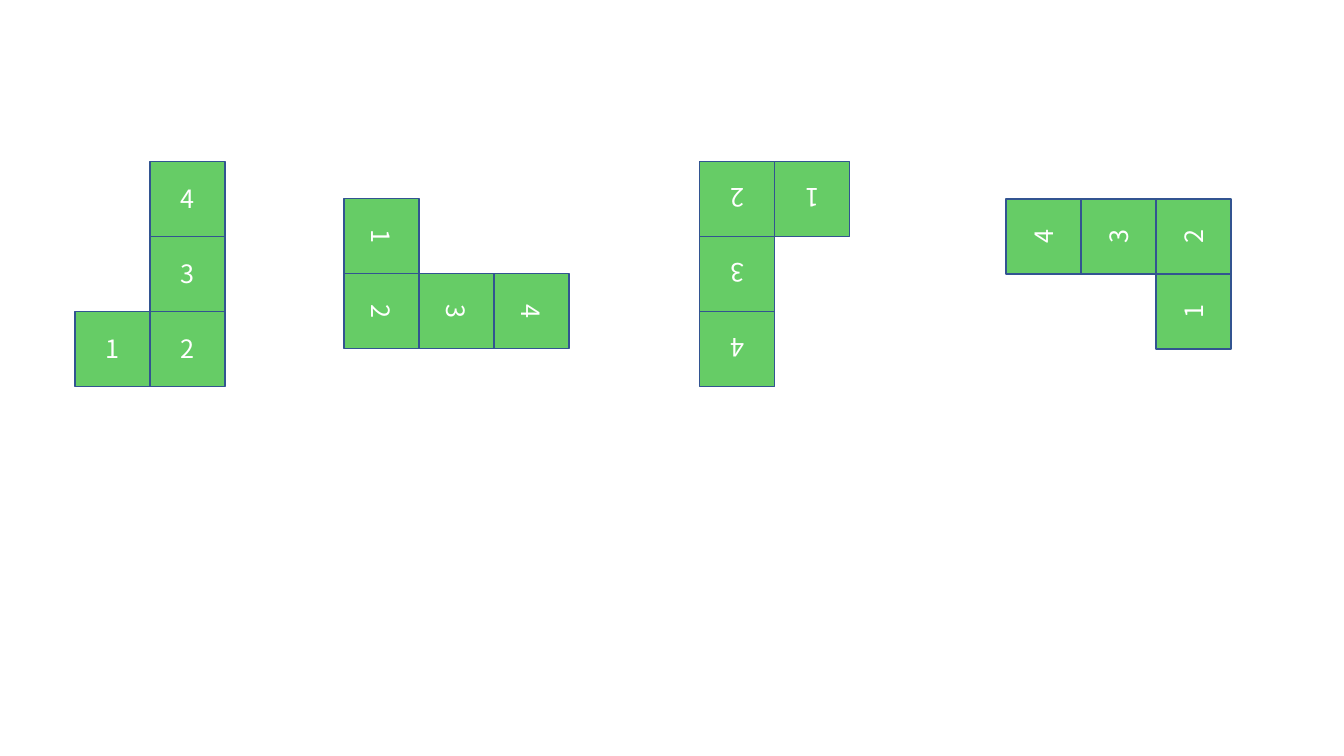
from pptx import Presentation
from pptx.dml.color import RGBColor
from pptx.enum.shapes import MSO_SHAPE
from pptx.enum.text import MSO_ANCHOR, PP_ALIGN
from pptx.util import Cm, Pt

GREEN = RGBColor(0x66, 0xCC, 0x66)
BLUE = RGBColor(0x32, 0x54, 0x91)
WHITE = RGBColor(0xFF, 0xFF, 0xFF)
FONT = "Noto Sans CJK SC"

SIDE = 1.89
CENTER_Y = 6.9
# Centre of each numbered square, in sides from the centre of the upright piece
SQUARES = {"4": (0.5, -1), "1": (-0.5, 1), "2": (0.5, 1), "3": (0.5, 0)}
# Centre of each piece in cm, and its quarter turns clockwise
PIECES = [(3.78, 0), (11.5, 1), (19.52, 2), (28.19, 3)]


def write_text(shape, text, size=18, color=WHITE, font=FONT):
    frame = shape.text_frame
    frame.vertical_anchor = MSO_ANCHOR.MIDDLE
    paragraph = frame.paragraphs[0]
    paragraph.alignment = PP_ALIGN.CENTER
    run = paragraph.add_run()
    run.text = text
    run.font.size = Pt(size)
    run.font.name = font
    run.font.color.rgb = color


def add_square(group, number, center_x, center_y, rotation):
    square = group.shapes.add_shape(
        MSO_SHAPE.RECTANGLE,
        Cm(center_x - SIDE / 2), Cm(center_y - SIDE / 2), Cm(SIDE), Cm(SIDE))
    square.rotation = rotation
    square.shadow.inherit = False
    square.fill.solid()
    square.fill.fore_color.rgb = GREEN
    square.line.color.rgb = BLUE
    square.line.width = Pt(1)
    write_text(square, number)


def add_piece(slide, center_x, turns):
    """Group four squares into a J shape turned clockwise about its centre."""
    group = slide.shapes.add_group_shape()
    for number, (x, y) in SQUARES.items():
        for _ in range(turns):
            x, y = -y, x
        add_square(group, number, center_x + x * SIDE, CENTER_Y + y * SIDE,
                   turns * 90)


def main():
    presentation = Presentation()
    presentation.slide_width = Cm(33.87)
    presentation.slide_height = Cm(19.05)
    slide = presentation.slides.add_slide(presentation.slide_layouts[6])
    for center_x, turns in PIECES:
        add_piece(slide, center_x, turns)
    presentation.save("out.pptx")


if __name__ == "__main__":
    main()
